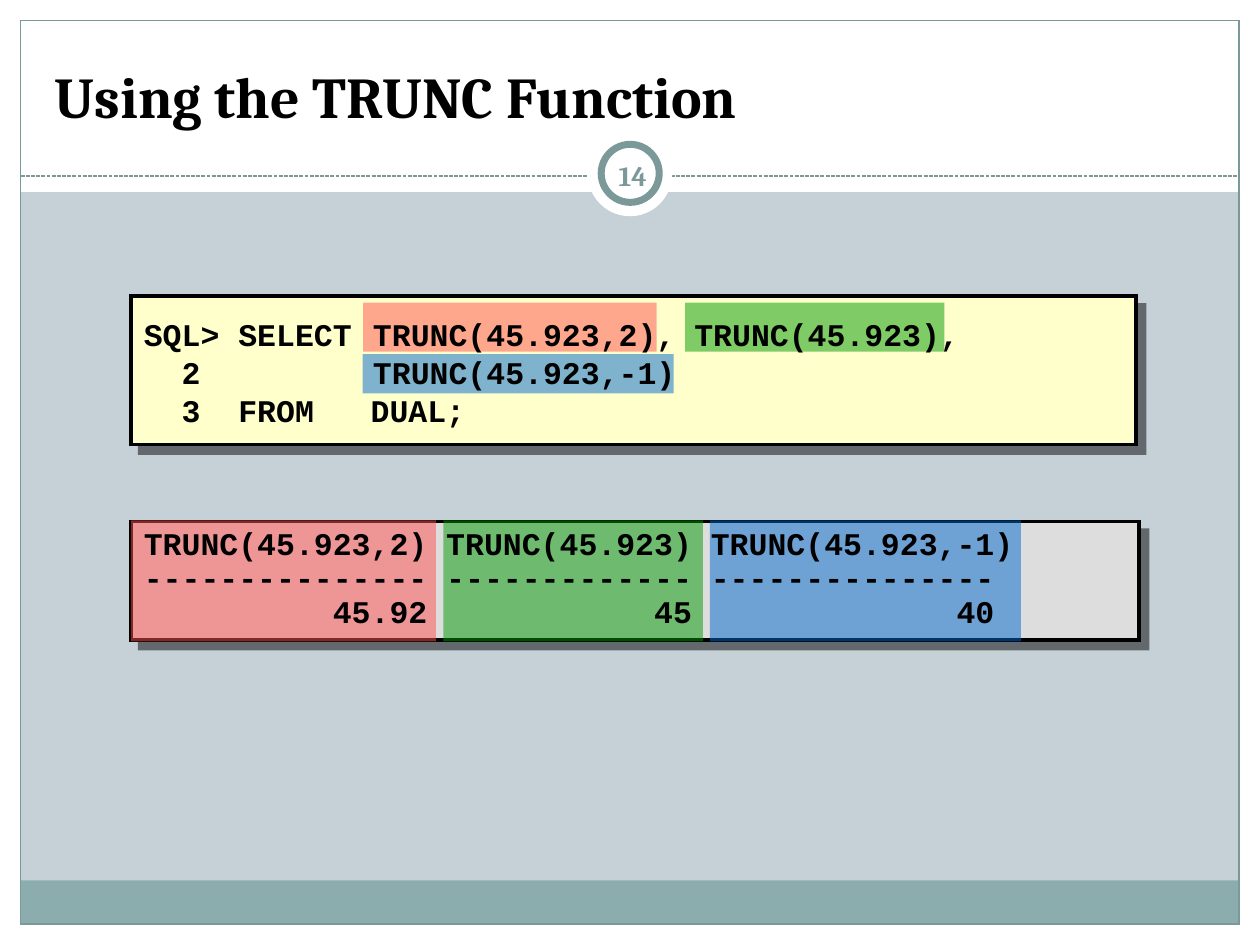
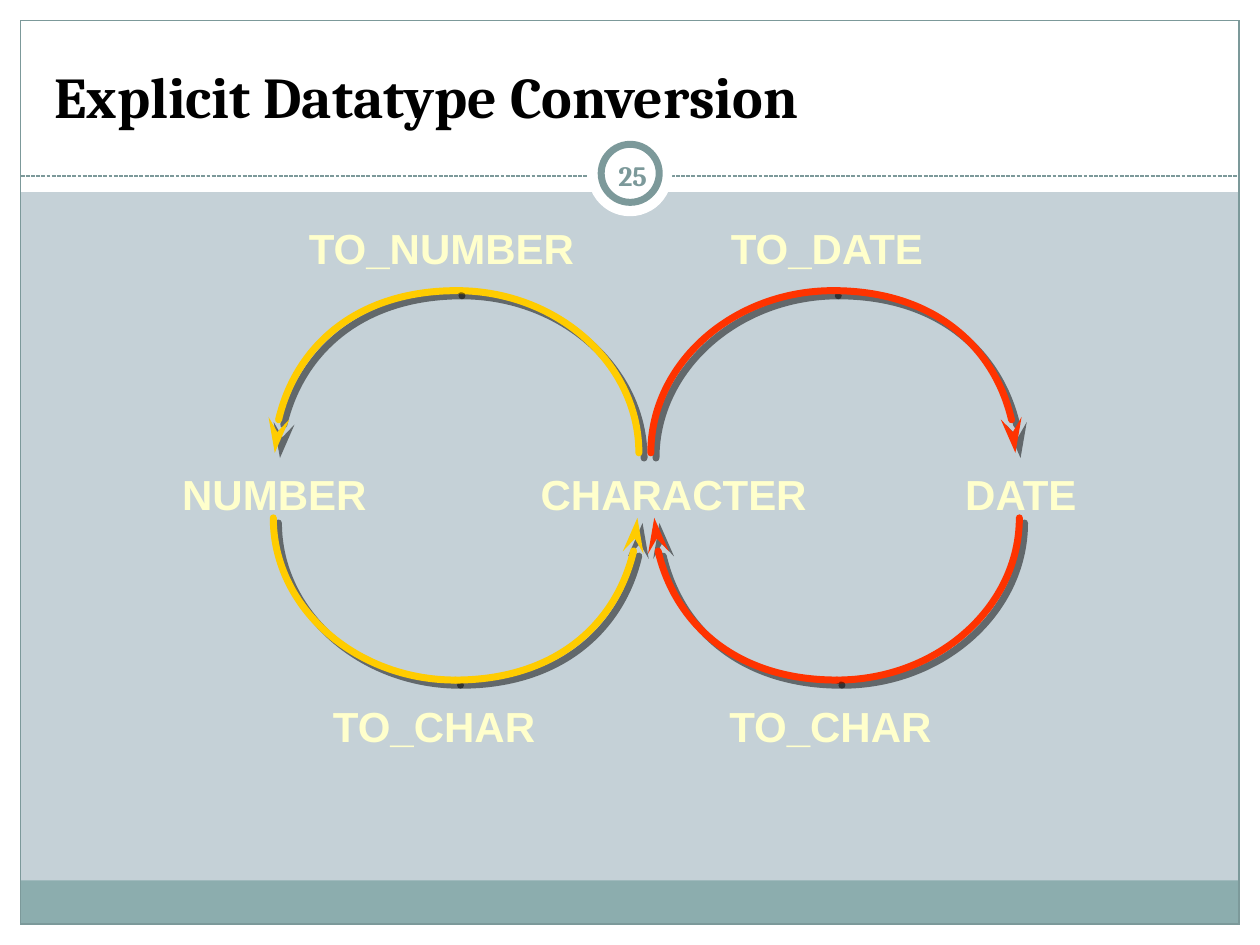
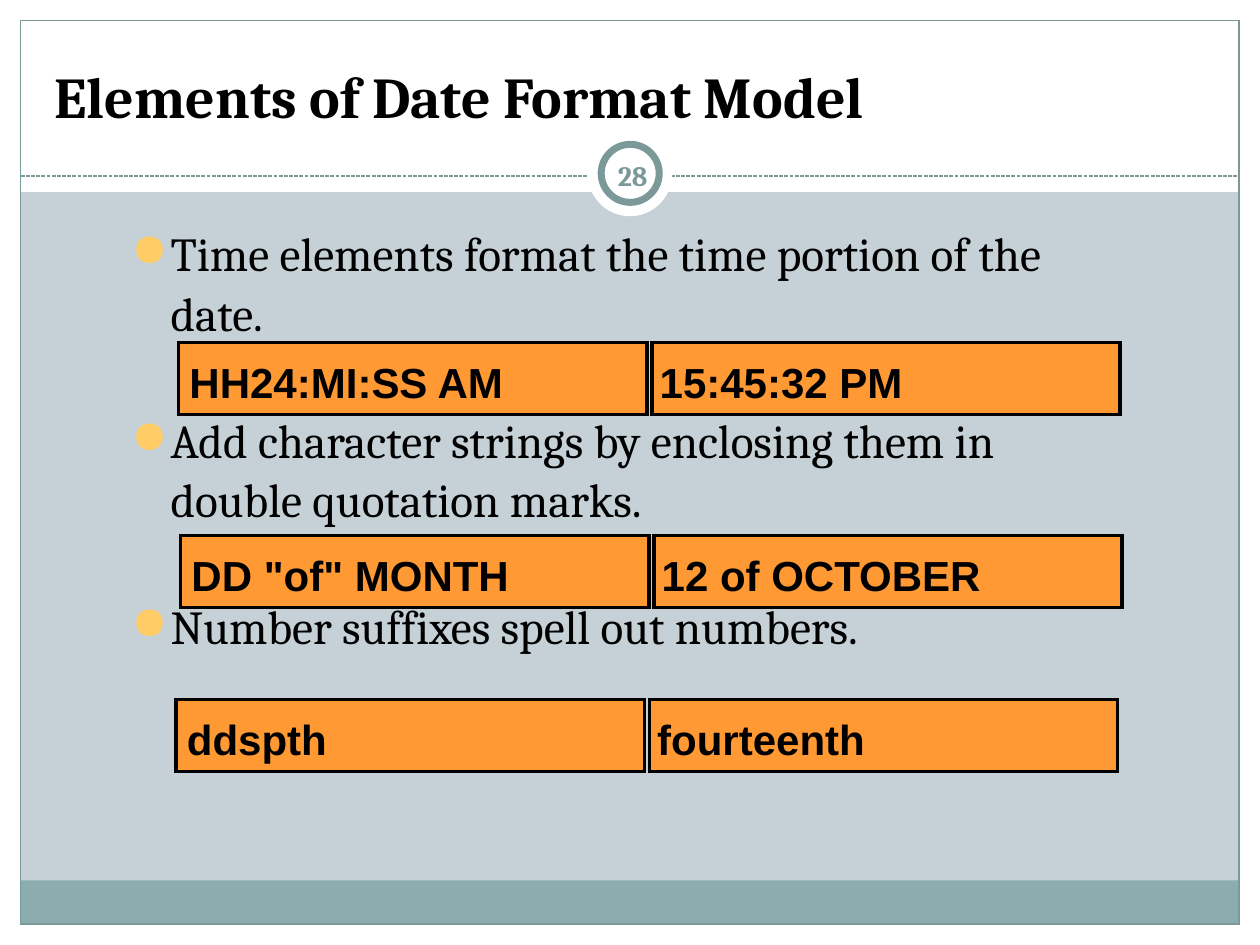
from lxml.etree import SubElement
from pptx import Presentation
from pptx.dml.color import RGBColor
from pptx.enum.dml import MSO_LINE
from pptx.enum.shapes import MSO_CONNECTOR, MSO_SHAPE
from pptx.enum.text import MSO_ANCHOR, PP_ALIGN
from pptx.oxml.ns import qn
from pptx.util import Cm, Pt

# Shared colours
WHITE = RGBColor(0xFF, 0xFF, 0xFF)
BLACK = RGBColor(0x00, 0x00, 0x00)
BACKGROUND = RGBColor(0xC5, 0xD1, 0xD7)
FOOTER = RGBColor(0x8C, 0xAD, 0xAE)
FRAME = RGBColor(0x7C, 0x99, 0x9A)
CREAM = RGBColor(0xFF, 0xFF, 0xCC)
LIGHT_GRAY = RGBColor(0xDD, 0xDD, 0xDD)
RED = RGBColor(0xFF, 0x50, 0x50)
GREEN = RGBColor(0x00, 0x99, 0x00)
BLUE = RGBColor(0x00, 0x66, 0xCC)
YELLOW = RGBColor(0xFF, 0xCC, 0x00)
ORANGE_RED = RGBColor(0xFF, 0x33, 0x00)
ORANGE = RGBColor(0xFF, 0x99, 0x33)
BULLET = RGBColor(0xFF, 0xCC, 0x66)

# Shared fonts and sizes
SERIF, SANS, MONO = "Cambria", "Arial", "Courier New"
WIDTH, HEIGHT, MARGIN = 25.4, 19.05, 0.42
ROUNDNESS = 0.55  # control point distance that makes a Bezier curve elliptical


def add_xml(parent, tag, **attributes):
    return SubElement(parent, qn(tag), attributes)


def add_shadow(shape, distance):
    """Give a hard, half-transparent shadow to the lower right."""
    effects = shape._element.spPr.find(qn("a:effectLst"))
    shadow = add_xml(effects, "a:outerShdw", blurRad="0", dist=str(Pt(distance)),
                     dir="2700000", algn="ctr", rotWithShape="0")
    color = add_xml(shadow, "a:srgbClr", val=str(BLACK))
    add_xml(color, "a:alpha", val="50000")


def add_box(slide, left, top, width, height, fill=None, line=None,
            line_width=2, kind=MSO_SHAPE.RECTANGLE):
    shape = slide.shapes.add_shape(kind, Cm(left), Cm(top), Cm(width), Cm(height))
    shape.shadow.inherit = False
    if fill is None:
        shape.fill.background()
    else:
        shape.fill.solid()
        shape.fill.fore_color.rgb = fill
    if line is None:
        shape.line.fill.background()
    else:
        shape.line.color.rgb = line
        shape.line.width = Pt(line_width)
        add_xml(shape.line._get_or_add_ln(), "a:miter", lim="800000")
    return shape


def add_highlight(slide, left, top, width, height, color):
    shape = add_box(slide, left, top, width, height, color)
    fill_color = shape._element.spPr.find(qn("a:solidFill"))[0]
    add_xml(fill_color, "a:alpha", val="50000")


def add_text(slide, left, top, width, height, lines, font, size, color, bold=False,
             anchor=MSO_ANCHOR.TOP, align=PP_ALIGN.LEFT, spacing=None, tabs=()):
    frame = slide.shapes.add_textbox(Cm(left), Cm(top), Cm(width), Cm(height)).text_frame
    frame.word_wrap = True
    frame.vertical_anchor = anchor
    for index, line in enumerate(lines):
        paragraph = frame.paragraphs[0] if index == 0 else frame.add_paragraph()
        paragraph.text = line
        paragraph.alignment = align
        if spacing:
            paragraph.line_spacing = spacing
        if tabs:
            tab_list = add_xml(paragraph._p.get_or_add_pPr(), "a:tabLst")
            for position in tabs:
                add_xml(tab_list, "a:tab", pos=str(Cm(position)), algn="l")
        paragraph.font.name = font
        paragraph.font.size = Pt(size)
        paragraph.font.bold = bold
        paragraph.font.color.rgb = color
    return frame


def add_dashed_rule(slide, y):
    rule = slide.shapes.add_connector(MSO_CONNECTOR.STRAIGHT, Cm(MARGIN), Cm(y),
                                      Cm(WIDTH - MARGIN), Cm(y))
    rule.line.color.rgb = FRAME
    rule.line.width = Pt(0.75)
    rule.line.dash_style = MSO_LINE.SQUARE_DOT
    add_xml(rule._element.spPr, "a:effectLst")


def build_layout(presentation, slide):
    """Draw the bands, frame and badge, and move them to the shared layout."""
    background = presentation.slide_master.background.fill
    background.solid()
    background.fore_color.rgb = BACKGROUND

    # Bands and frame
    for band in ((0, HEIGHT - MARGIN, WIDTH, MARGIN), (0, 0, WIDTH, 3.87),
                 (0, 0, MARGIN, HEIGHT), (WIDTH - MARGIN, 0, MARGIN, HEIGHT)):
        add_box(slide, *band, fill=WHITE)
    inner_width = WIDTH - 2 * MARGIN
    add_box(slide, MARGIN, 17.75, inner_width, 0.87, fill=FOOTER)
    add_box(slide, MARGIN, MARGIN, inner_width, HEIGHT - 2 * MARGIN,
            line=FRAME, line_width=0.75)
    add_dashed_rule(slide, 3.55)

    # Number badge
    add_box(slide, 11.85, 2.66, 1.7, 1.7, fill=WHITE, kind=MSO_SHAPE.OVAL)
    add_box(slide, 12.12, 2.91, 1.17, 1.17, WHITE, FRAME, 4, MSO_SHAPE.OVAL)

    layout_tree = slide.slide_layout.shapes._spTree
    for shape in list(slide.shapes):
        layout_tree.append(shape._element)


def add_heading(slide, title, number):
    add_text(slide, 0.85, 0.62, 23.7, 2.12, [title], SERIF, 33, BLACK,
             anchor=MSO_ANCHOR.BOTTOM, bold=True)
    frame = add_text(slide, 12.12, 2.92, 1.27, 1.22, [str(number)], SERIF, 16, FRAME,
                     anchor=MSO_ANCHOR.MIDDLE, bold=True, align=PP_ALIGN.CENTER)
    frame.margin_left = frame.margin_right = Cm(0.13)


def add_label(slide, center, top, text, width=7.24):
    add_text(slide, center - width / 2, top, width, 1.27, [text], SANS, 24, CREAM,
             bold=True, align=PP_ALIGN.CENTER)


def add_quarter_arc(slide, points, color, arrow):
    """Join four Bezier points by one curve, with or without an arrowhead."""
    points = [(Cm(x), Cm(y)) for x, y in points]
    builder = slide.shapes.build_freeform(*points[0])
    builder.add_line_segments(points[-1:], close=False)
    shape = builder.convert_to_shape()

    # Bend the straight segment
    path = shape._element.spPr.find(".//" + qn("a:path"))
    path.remove(path.find(qn("a:lnTo")))
    curve = add_xml(path, "a:cubicBezTo")
    for x, y in points[1:]:
        add_xml(curve, "a:pt", x=str(x - shape.left), y=str(y - shape.top))

    shape.shadow.inherit = False
    shape.fill.background()
    shape.line.color.rgb = color
    shape.line.width = Pt(4)
    outline = shape.line._get_or_add_ln()
    outline.set("cap", "rnd")
    add_xml(outline, "a:round")
    if arrow:
        add_xml(outline, "a:tailEnd", type="stealth", w="med", len="lg")
    add_shadow(shape, 4.2)


def add_conversion_arrow(slide, start, end, base, peak, color):
    """Draw a half ellipse from start to end as two quarters, the last with a head."""
    middle = (start + end) / 2
    bend_y = base + ROUNDNESS * (peak - base)

    def quarter(side):
        bend_x = middle + ROUNDNESS * (side - middle)
        return [(side, base), (side, bend_y), (bend_x, peak), (middle, peak)]

    add_quarter_arc(slide, quarter(start), color, arrow=False)
    add_quarter_arc(slide, quarter(end)[::-1], color, arrow=True)


def add_bullets(slide, left, top, width, height, items, gap):
    frame = add_text(slide, left, top, width, height, items, SERIF, 27, BLACK, spacing=1.05)
    for index, paragraph in enumerate(frame.paragraphs):
        if index:
            paragraph.space_before = Pt(gap)
        properties = paragraph._p.get_or_add_pPr()
        properties.set("marL", str(Cm(0.79)))
        properties.set("indent", str(Cm(-0.79)))
        font_properties = properties.find(qn("a:defRPr"))
        for tag, attributes in (("a:buClr", {}), ("a:buSzPct", {"val": "97000"}),
                                ("a:buChar", {"char": "●"})):
            font_properties.addprevious(properties.makeelement(qn(tag), attributes))
        add_xml(properties.find(qn("a:buClr")), "a:srgbClr", val=str(BULLET))


def add_format_row(slide, left, top, pattern, result):
    """Put a format pattern and its result side by side."""
    pitch = 9.54
    for column in range(2):
        add_box(slide, left + column * pitch, top, 9.44, 1.45, ORANGE, BLACK)
    for column, text in enumerate((pattern, result)):
        add_text(slide, left - 0.03 + column * (pitch - 0.06), top + 0.15, 9.4, 1.27,
                 [text], SANS, 24, BLACK, bold=True)


def build_trunc(slide):
    # Query and result panels
    for left, top, width, height, fill in ((2.64, 5.97, 20.26, 2.99, CREAM),
                                           (2.64, 10.51, 20.32, 2.39, LIGHT_GRAY)):
        add_shadow(add_box(slide, left, top, width, height, fill, BLACK), 7.1)

    # Each call and its result column share a colour
    for color, column, call in (
            (RED, (2.64, 6.15), (7.32, 6.1, 5.92, 0.99)),
            (GREEN, (8.94, 5.23), (13.81, 6.1, 5.23, 0.99)),
            (BLUE, (14.31, 6.27), (7.31, 7.14, 6.27, 0.79))):
        column_left, column_width = column
        add_highlight(slide, column_left, 10.49, column_width, 2.44, color)
        add_highlight(slide, *call, color)

    # Code
    add_text(slide, 2.65, 5.3, 20.32, 4.39, [
        "SQL> SELECT \tTRUNC(45.923,2), TRUNC(45.923),",
        "  2  \t\tTRUNC(45.923,-1)",
        "  3  FROM   DUAL;",
    ], MONO, 18, BLACK, anchor=MSO_ANCHOR.MIDDLE, bold=True, tabs=(3.33, 4.62))
    add_text(slide, 2.65, 10.52, 20.24, 2.31, [
        "TRUNC(45.923,2) TRUNC(45.923) TRUNC(45.923,-1)",
        "--------------- ------------- ---------------",
        "          45.92            45              40",
    ], MONO, 18, BLACK, bold=True, spacing=0.9)


def build_conversion(slide):
    # Datatypes, then the functions above and below them
    for center, top, text in (
            (5.53, 9.32, "NUMBER"), (13.58, 9.32, "CHARACTER"),
            (8.9, 4.36, "TO_NUMBER"), (16.67, 4.36, "TO_DATE"),
            (8.75, 13.99, "TO_CHAR"), (16.74, 13.99, "TO_CHAR")):
        add_label(slide, center, top, text)
    add_label(slide, 20.58, 9.32, "DATE", width=4.83)

    upper, lower = (9.13, 5.86), (10.44, 13.71)
    for start, end, (base, peak), color in (
            (5.51, 12.85, lower, YELLOW), (12.88, 5.54, upper, YELLOW),
            (20.55, 13.19, lower, ORANGE_RED), (13.12, 20.47, upper, ORANGE_RED)):
        add_conversion_arrow(slide, start, end, base, peak, color)


def build_date_format(slide):
    add_bullets(slide, 2.4, 4.34, 20.52, 9.78, [
        "Time elements format the time portion of the date.",
        "Add character strings by enclosing them in double quotation marks.",
        "Number suffixes spell out numbers.",
    ], gap=38.5)
    for left, top, pattern, result in (
            (3.6, 6.91, "HH24:MI:SS AM", "15:45:32 PM"),
            (3.64, 10.8, 'DD "of" MONTH', "12 of OCTOBER"),
            (3.55, 14.1, "ddspth", "fourteenth")):
        add_format_row(slide, left, top, pattern, result)


def main():
    presentation = Presentation()
    presentation.slide_width = Cm(WIDTH)
    presentation.slide_height = Cm(HEIGHT)
    pages = (("Using the TRUNC Function", 14, build_trunc),
             ("Explicit Datatype Conversion", 25, build_conversion),
             ("Elements of Date Format Model", 28, build_date_format))
    blank_layout = presentation.slide_layouts[6]
    for index, (title, number, build_content) in enumerate(pages):
        slide = presentation.slides.add_slide(blank_layout)
        if index == 0:
            build_layout(presentation, slide)
        add_heading(slide, title, number)
        build_content(slide)
    presentation.save("out.pptx")


if __name__ == "__main__":
    main()
